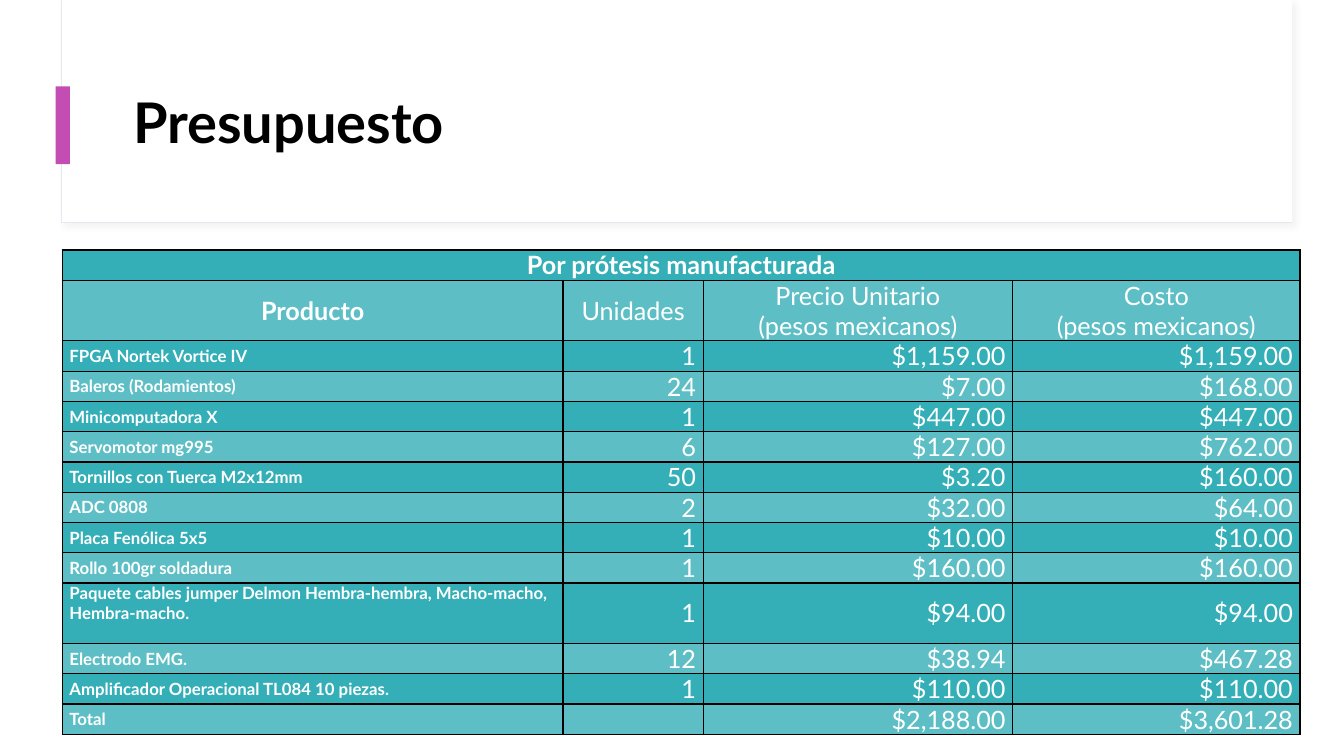
from lxml.etree import SubElement
from pptx import Presentation
from pptx.dml.color import RGBColor
from pptx.enum.shapes import MSO_SHAPE
from pptx.enum.text import MSO_ANCHOR, PP_ALIGN
from pptx.oxml import parse_xml
from pptx.oxml.ns import nsdecls, qn
from pptx.util import Cm, Pt

FONT = "Lato"
HUES = {
    "white": "FFFFFF",
    "black": "000000",
    "edge": "E3E9EF",
    "shade": "D9D9D9",
    "accent": "C34DB3",
    "teal": "34AFB7",
    "light": "5DBFC5",
}
WIDTHS = [12.62, 3.53, 7.8, 7.24]
ROW = 0.76
TALL = {1, 10}
ITEMS = [
    ("FPGA Nortek Vortice IV", 1, 1159),
    ("Baleros (Rodamientos)", 24, 7),
    ("Minicomputadora X", 1, 447),
    ("Servomotor mg995", 6, 127),
    ("Tornillos con Tuerca M2x12mm", 50, 3.2),
    ("ADC 0808", 2, 32),
    ("Placa Fenólica 5x5", 1, 10),
    ("Rollo 100gr soldadura", 1, 160),
    ("Paquete cables jumper Delmon Hembra-hembra, Macho-macho, Hembra-macho.", 1, 94),
    ("Electrodo EMG.", 12, 38.94),
    ("Amplificador Operacional TL084 10 piezas.", 1, 110),
]


def color(name):
    return RGBColor.from_string(HUES[name])


def money(value):
    return f"${value:,.2f}"


def add_run(para, text, size, hue, bold):
    run = para.add_run()
    run.text = text
    run.font.name = FONT
    run.font.size = Pt(size)
    run.font.bold = bold
    run.font.color.rgb = color(hue)


def add_rect(slide, box, fill, line=None):
    rect = slide.shapes.add_shape(MSO_SHAPE.RECTANGLE, *map(Cm, box))
    rect.shadow.inherit = False
    rect.fill.solid()
    rect.fill.fore_color.rgb = color(fill)
    if line:
        rect.line.color.rgb = color(line)
        rect.line.width = Pt(0.75)
    else:
        rect.line.fill.background()
    return rect


def add_shadow(shape):
    effects = shape.element.spPr.find(qn("a:effectLst"))
    effects.append(parse_xml(
        f'<a:outerShdw {nsdecls("a")} blurRad="{Pt(4)}" dist="{Pt(3)}" dir="2700000">'
        f'<a:srgbClr val="{HUES["shade"]}"><a:alpha val="30000"/></a:srgbClr>'
        '</a:outerShdw>'))


def set_title(slide, text):
    title = slide.shapes.title
    title.left, title.top, title.width, title.height = map(Cm, (3.1, 1.52, 28.24, 3.28))
    frame = title.text_frame
    frame.word_wrap = True
    frame.vertical_anchor = MSO_ANCHOR.MIDDLE
    para = frame.paragraphs[0]
    para.alignment = PP_ALIGN.LEFT
    para.line_spacing = 0.9
    add_run(para, text, 40, "black", True)
    title.element.getparent().append(title.element)


def set_edges(cell):
    props = cell._tc.get_or_add_tcPr()
    for side in ("lnL", "lnR", "lnT", "lnB"):
        edge = SubElement(props, qn(f"a:{side}"), w=str(Pt(1)))
        solid = SubElement(edge, qn("a:solidFill"))
        SubElement(solid, qn("a:srgbClr"), val=HUES["black"])


def set_cell(cell, text, fill, size, bold, align):
    set_edges(cell)
    cell.fill.solid()
    cell.fill.fore_color.rgb = color(fill)
    cell.margin_left = cell.margin_right = Cm(0.18)
    cell.margin_top = cell.margin_bottom = 0
    cell.vertical_anchor = MSO_ANCHOR.MIDDLE
    para = cell.text_frame.paragraphs[0]
    para.alignment = align
    for num, line in enumerate(text.split("\n") if text else []):
        if num:
            para.add_line_break()
        add_run(para, line, size, "white", bold)


def add_budget(slide):
    total = sum(units * price for _, units, price in ITEMS)
    rows = [
        ("Por prótesis manufacturada", "", "", ""),
        ("Producto", "Unidades", "Precio Unitario\n(pesos mexicanos)",
         "Costo\n(pesos mexicanos)"),
        *((name, str(units), money(price), money(units * price))
          for name, units, price in ITEMS),
        ("Total", "", "$2,188.00", money(total)),
    ]
    heights = [ROW * 2 if r in TALL else ROW for r in range(len(rows))]
    table = slide.shapes.add_table(
        len(rows), len(WIDTHS), Cm(1.57), Cm(6.3),
        Cm(sum(WIDTHS)), Cm(sum(heights))).table
    table.first_row = table.horz_banding = False
    for col, width in zip(table.columns, WIDTHS):
        col.width = Cm(width)
    for r, texts in enumerate(rows):
        table.rows[r].height = Cm(heights[r])
        for c, text in enumerate(texts):
            size = 12 if r > 1 and c == 0 else 18
            body = PP_ALIGN.RIGHT if c else PP_ALIGN.LEFT
            set_cell(table.cell(r, c), text, "light" if r % 2 else "teal",
                     size, c == 0, body if r > 1 else PP_ALIGN.CENTER)
    table.cell(0, 0).merge(table.cell(0, 3))
    table.cell(10, 0).vertical_anchor = MSO_ANCHOR.TOP


def main():
    deck = Presentation()
    deck.slide_width, deck.slide_height = Cm(33.87), Cm(19.05)
    slide = deck.slides.add_slide(deck.slide_layouts[5])
    add_shadow(add_rect(slide, (1.55, 0, 31.01, 5.61), "white", "edge"))
    add_rect(slide, (1.57, 0, 30.99, 5.59), "white")
    add_rect(slide, (1.4, 2.18, 0.36, 1.96), "accent")
    set_title(slide, "Presupuesto")
    add_budget(slide)
    deck.save("out.pptx")


if __name__ == "__main__":
    main()
